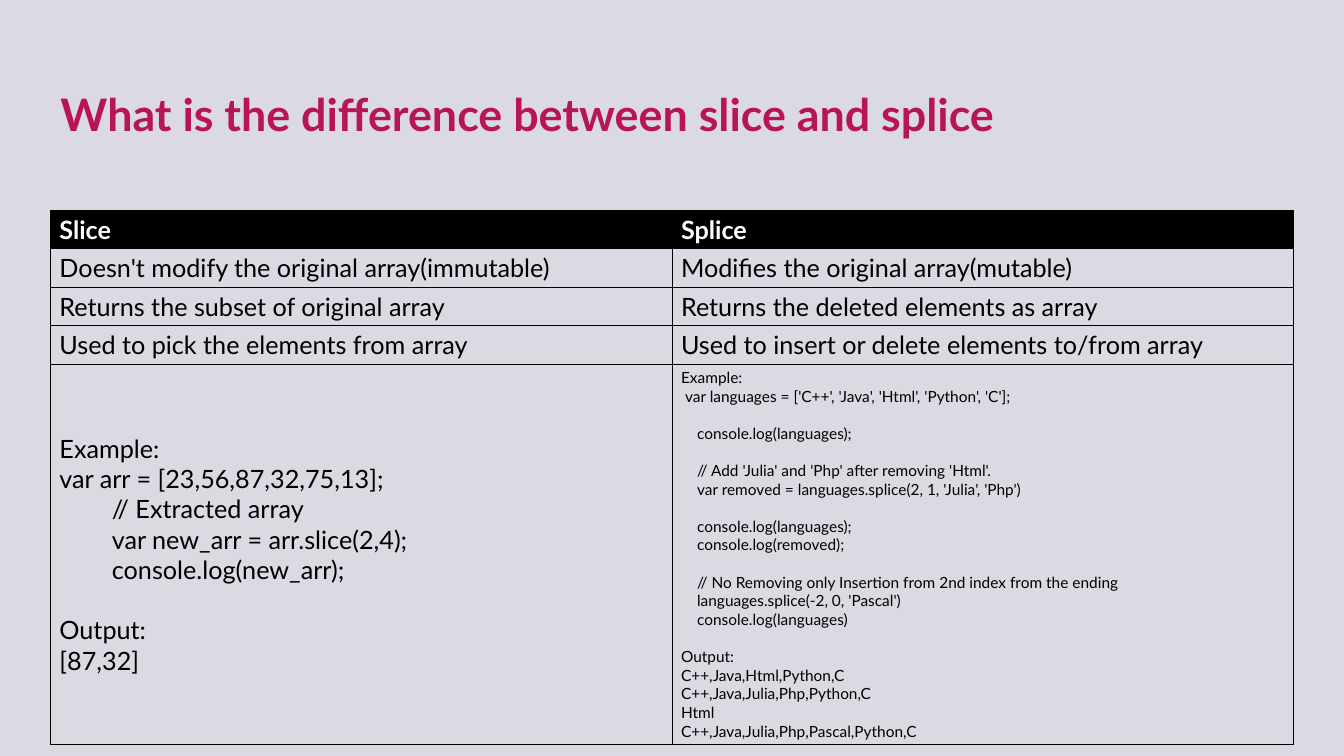
import pptx
import pptx.dml.color
import pptx.enum.text
import pptx.oxml
import pptx.oxml.ns
import pptx.util

Pt = pptx.util.Pt
COLORS = {"background": "DBD9E1", "title": "B71558", "header": "000000",
          "header_text": "FFFFFF", "text": "000000", "border": "000000"}
FONT = "Lato"
LINE_HEIGHT = 1.2

HEADINGS = ("Slice", "Splice")
DIFFERENCES = [
    ("Doesn't modify the original array(immutable)", "Modifies the original array(mutable)"),
    ("Returns the subset of original array", "Returns the deleted elements as array"),
    ("Used to pick the elements from array", "Used to insert or delete elements to/from array"),
]
SLICE_EXAMPLE = """Example:
var arr = [23,56,87,32,75,13];
        // Extracted array
        var new_arr = arr.slice(2,4);
        console.log(new_arr);

Output:
[87,32]"""
SPLICE_EXAMPLE = """Example:
 var languages = ['C++', 'Java', 'Html', 'Python', 'C'];

    console.log(languages);

    // Add 'Julia' and 'Php' after removing 'Html'.
    var removed = languages.splice(2, 1, 'Julia', 'Php')

    console.log(languages);
    console.log(removed);

    // No Removing only Insertion from 2nd index from the ending
    languages.splice(-2, 0, 'Pascal')
    console.log(languages)

Output:
C++,Java,Html,Python,C
C++,Java,Julia,Php,Python,C
Html
C++,Java,Julia,Php,Pascal,Python,C"""


def rgb(name):
    """Return the named colour."""
    return pptx.dml.color.RGBColor.from_string(COLORS[name])


def add_run(paragraph, text, size, color, bold=False):
    """Add one formatted run to a paragraph."""
    run = paragraph.add_run()
    run.text = text
    run.font.name = FONT
    run.font.size = Pt(size)
    run.font.bold = bold
    run.font.color.rgb = rgb(color)


def add_lines(frame, text, size, color, bold):
    """Write lines, turning leading spaces into indents and empty lines into spacing."""
    gap = 0
    paragraph = frame.paragraphs[0]
    for number, line in enumerate(text.split("\n")):
        if not line:
            gap += size * LINE_HEIGHT
            continue
        if number:
            paragraph = frame.add_paragraph()
        code = line.lstrip()
        indent = (len(line) - len(code)) * size * 0.26
        properties = paragraph._p.get_or_add_pPr()
        properties.set("marL", str(int(Pt(indent))))
        properties.set("indent", "0")
        if gap:
            paragraph.space_before = Pt(gap)
            gap = 0
        add_run(paragraph, code, size, color, bold)


def add_borders(cell):
    """Draw a thin line on all four sides of a cell."""
    properties = cell._tc.get_or_add_tcPr()
    for position, side in enumerate(("lnL", "lnR", "lnT", "lnB")):
        properties.insert(position, pptx.oxml.parse_xml(
            f'<a:{side} {pptx.oxml.ns.nsdecls("a")} w="{int(Pt(0.5))}"><a:solidFill>'
            f'<a:srgbClr val="{COLORS["border"]}"/></a:solidFill></a:{side}>'))


def fill_cell(cell, text, size, is_header):
    """Format one table cell and write its text."""
    cell.margin_left = cell.margin_right = Pt(6.5)
    cell.margin_top = cell.margin_bottom = Pt(2.9)
    cell.vertical_anchor = pptx.enum.text.MSO_ANCHOR.MIDDLE
    if is_header:
        cell.fill.solid()
        cell.fill.fore_color.rgb = rgb("header")
    else:
        cell.fill.background()
    add_borders(cell)
    add_lines(cell.text_frame, text, size, "header_text" if is_header else "text", is_header)


def add_title(slide, left, top, width, height):
    """Place and write the slide title."""
    title = slide.shapes.title
    title.left, title.top, title.width, title.height = map(Pt, (left, top, width, height))
    frame = title.text_frame
    frame.word_wrap = True
    frame.auto_size = pptx.enum.text.MSO_AUTO_SIZE.NONE
    frame.vertical_anchor = pptx.enum.text.MSO_ANCHOR.MIDDLE
    frame.paragraphs[0].alignment = pptx.enum.text.PP_ALIGN.LEFT
    add_run(frame.paragraphs[0], "What is the difference between slice and splice", 32, "title", True)


def add_comparison(slide, left, top, width, height):
    """Build the comparison table with short rows above a tall example row."""
    rows = [HEADINGS, *DIFFERENCES, (SLICE_EXAMPLE, SPLICE_EXAMPLE)]
    short_height = 27.5
    example_row = len(rows) - 1
    table = slide.shapes.add_table(
        len(rows), len(HEADINGS), Pt(left), Pt(top), Pt(width), Pt(height)).table
    table.horz_banding = False
    for column in table.columns:
        column.width = Pt(width / len(HEADINGS))
    for row_number, texts in enumerate(rows):
        is_example = row_number == example_row
        table.rows[row_number].height = Pt(
            height - example_row * short_height if is_example else short_height)
        for column_number, text in enumerate(texts):
            size = 11 if is_example and column_number == 1 else 18
            fill_cell(table.cell(row_number, column_number), text, size, row_number == 0)


def main():
    """Build and save the slide."""
    deck = pptx.Presentation()
    deck.slide_width, deck.slide_height = Pt(960), Pt(540)
    slide = deck.slides.add_slide(deck.slide_layouts[5])
    slide.background.fill.solid()
    slide.background.fill.fore_color.rgb = rgb("background")
    add_title(slide, 36, 29, 858, 104)
    add_comparison(slide, 36, 150, 888, 382)
    deck.save("out.pptx")


if __name__ == "__main__":
    main()
